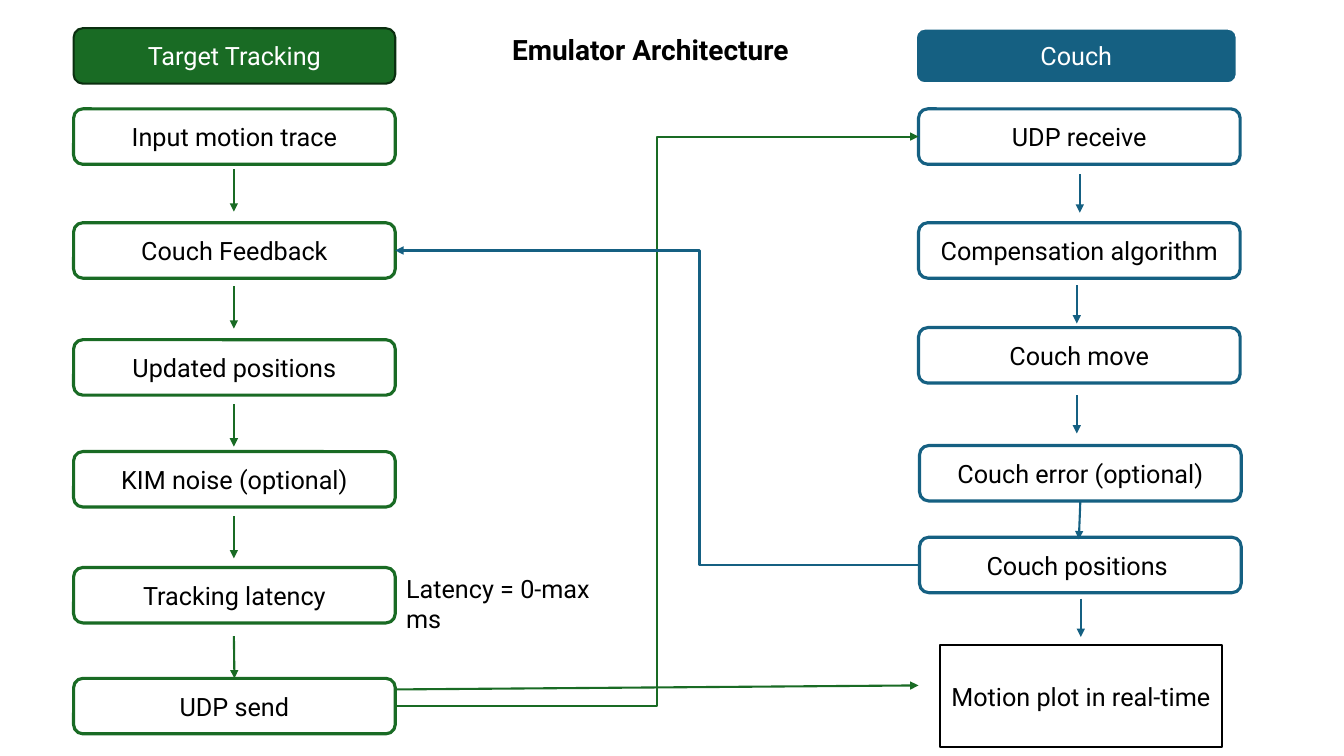
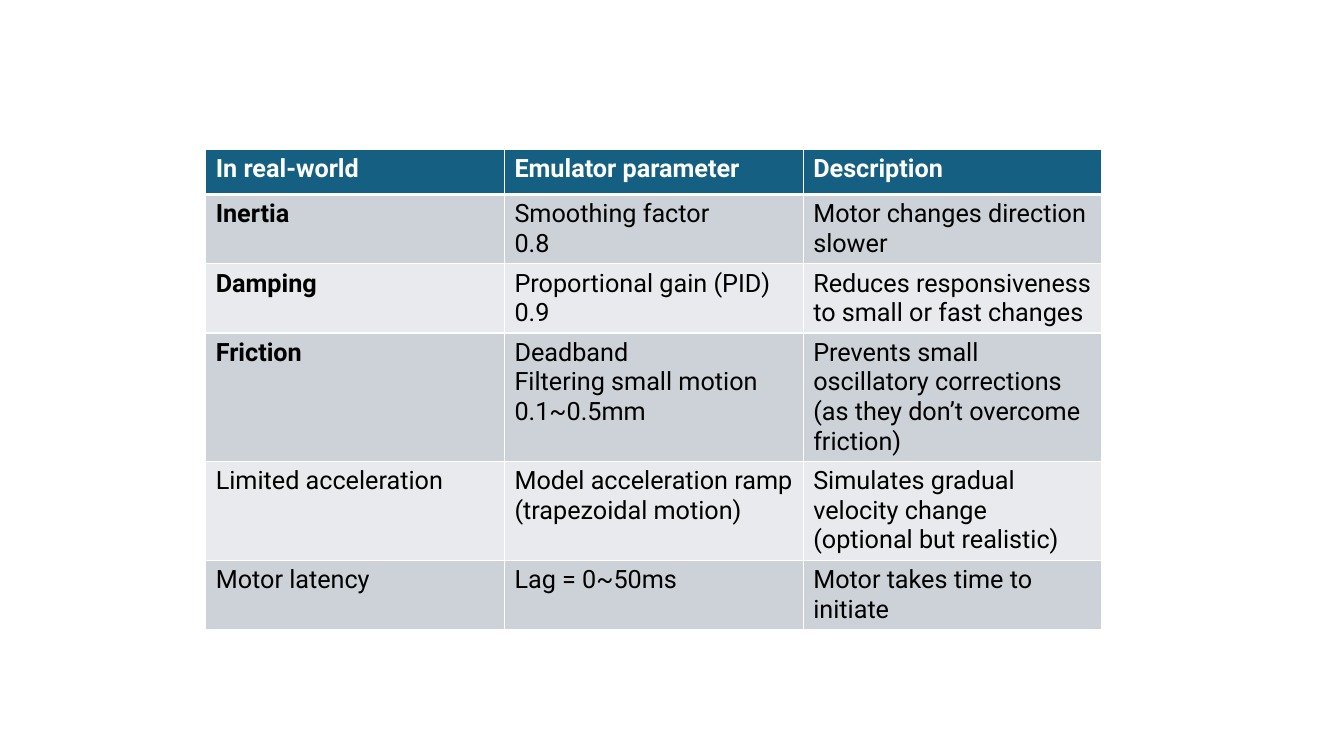
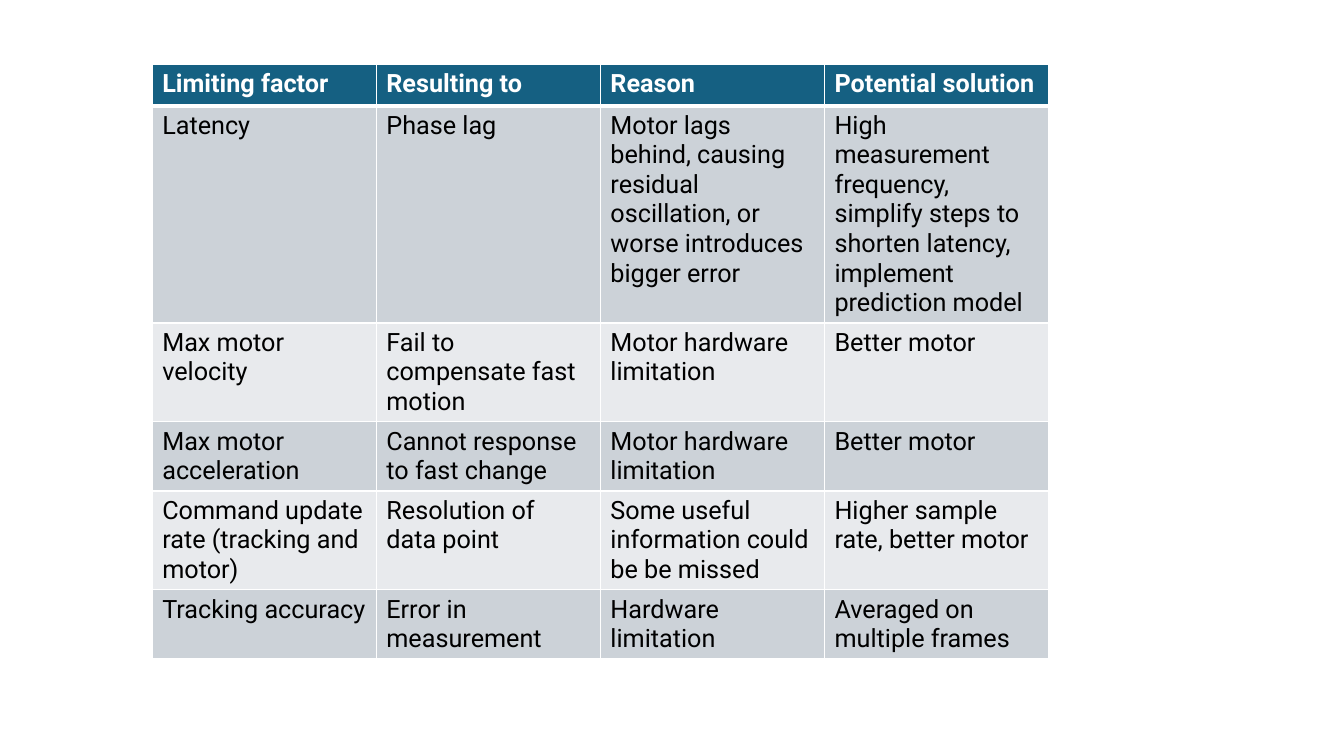
from dataclasses import dataclass
from typing import NamedTuple, Optional

from lxml.etree import SubElement
from pptx import Presentation
from pptx.dml.color import RGBColor
from pptx.enum.shapes import MSO_CONNECTOR as Connector, MSO_SHAPE as Shape
from pptx.enum.text import MSO_ANCHOR as Anchor, PP_ALIGN as Align
from pptx.oxml.ns import qn
from pptx.util import Inches, Pt


@dataclass(frozen=True)
class Theme:
    font: str = "Roboto"
    body_size: float = 18
    title_size: float = 20
    green: str = "196B24"
    dark_green: str = "0B2F10"
    blue: str = "156082"
    black: str = "000000"
    white: str = "FFFFFF"
    bands: tuple = ("CCD2D8", "E8EAED")
    step_line: float = 2.25
    arrow_line: float = 1.5


THEME = Theme()
STEP_WIDTH, STEP_HEIGHT = 3.19, 0.55
TABLE_WIDTH, ROW_HEIGHT = 8.89, 0.41
TOP, LEFT, BOTTOM, RIGHT = range(4)


class Step(NamedTuple):
    text: str
    left: float
    top: float


class Down(NamedTuple):
    """A downward arrow; begin and end are indexes of joined steps."""
    x: float
    y: float
    begin: Optional[int] = None
    end: Optional[int] = None


@dataclass(frozen=True)
class Lane:
    color: str
    arrow_length: float
    steps: tuple
    arrows: tuple


@dataclass(frozen=True)
class Grid:
    left: float
    top: float
    header_height: float
    rows: tuple
    bold_labels: tuple = ()


TRACKING = Lane(
    THEME.green, 0.42,
    tuple(Step(text, 0.73, top) for text, top in (
        ("Input motion trace", 1.08), ("Couch Feedback", 2.21),
        ("Updated positions", 3.37), ("KIM noise (optional)", 4.48),
        ("Tracking latency", 5.63), ("UDP send", 6.73))),
    tuple(Down(2.32, y) for y in (1.68, 2.84, 4.01, 5.12)) + (Down(2.32, 6.31, end=5),))

COUCH = Lane(
    THEME.blue, 0.38,
    (Step("UDP receive", 9.11, 1.08), Step("Compensation algorithm", 9.11, 2.21),
     Step("Couch move", 9.11, 3.25), Step("Couch error (optional)", 9.12, 4.42),
     Step("Couch positions ", 9.12, 5.33)),
    (Down(10.71, 1.73), Down(10.68, 2.83), Down(10.68, 3.92),
     Down(10.7, 4.97, begin=3), Down(10.72, 5.94)))

PARAMETERS = Grid(2.04, 1.48, 0.45, (
    ("In real-world", "Emulator parameter", "Description"),
    ("Inertia", "Smoothing factor\n0.8", "Motor changes direction slower"),
    ("Damping", "Proportional gain (PID)\n0.9",
     "Reduces responsiveness to small or fast changes"),
    ("Friction", "Deadband\nFiltering small motion\n0.1~0.5mm",
     "Prevents small oscillatory corrections (as they don’t overcome friction)"),
    ("Limited acceleration", "Model acceleration ramp (trapezoidal motion)",
     "Simulates gradual velocity change (optional but realistic)"),
    ("Motor latency", "Lag = 0~50ms", "Motor takes time to initiate"),
), bold_labels=("Inertia", "Damping", "Friction"))

LIMITS = Grid(1.51, 0.64, 0.41, (
    ("Limiting factor", "Resulting to", "Reason", "Potential solution"),
    ("Latency", "Phase lag",
     "Motor lags behind, causing residual oscillation, or worse introduces bigger error",
     "High measurement frequency, simplify steps to shorten latency, "
     "implement prediction model"),
    ("Max motor velocity", "Fail to compensate fast motion",
     "Motor hardware limitation", "Better motor"),
    ("Max motor acceleration", "Cannot response to fast change",
     "Motor hardware limitation", "Better motor"),
    ("Command update rate (tracking and motor)", "Resolution of data point",
     "Some useful information could be be missed", "Higher sample rate, better motor"),
    ("Tracking accuracy", "Error in measurement", "Hardware limitation",
     "Averaged on multiple frames"),
))


def rgb(color: str) -> RGBColor:
    return RGBColor.from_string(color)


def write(frame, text: str, *, color: str = THEME.black, size: float = THEME.body_size,
          bold: bool = False, align=Align.LEFT, anchor=Anchor.TOP) -> None:
    """Fill a text frame, one paragraph per line of text."""
    frame.word_wrap = True
    frame.vertical_anchor = anchor
    for index, line in enumerate(text.split("\n")):
        para = frame.add_paragraph() if index else frame.paragraphs[0]
        para.alignment = align
        span = para.add_run()
        span.text = line
        span.font.name, span.font.size, span.font.bold = THEME.font, Pt(size), bold
        span.font.color.rgb = rgb(color)


def add_box(page, text: str, left: float, top: float, *, width: float = STEP_WIDTH,
            height: float = STEP_HEIGHT, kind=Shape.ROUNDED_RECTANGLE,
            fill: str = THEME.white, line: str = THEME.black,
            line_width: float = THEME.step_line, color: str = THEME.black):
    box = page.shapes.add_shape(kind, Inches(left), Inches(top),
                                Inches(width), Inches(height))
    box.shadow.inherit = False
    box.fill.solid()
    box.fill.fore_color.rgb = rgb(fill)
    box.line.color.rgb = rgb(line)
    box.line.width = Pt(line_width)
    write(box.text_frame, text, color=color, align=Align.CENTER, anchor=Anchor.MIDDLE)
    return box


def add_label(page, text: str, left: float, top: float, width: float, height: float,
              **text_format) -> None:
    box = page.shapes.add_textbox(Inches(left), Inches(top), Inches(width), Inches(height))
    write(box.text_frame, text, **text_format)


def add_arrow(page, start: tuple, end: tuple, color: str, *, kind=Connector.STRAIGHT,
              width: float = THEME.arrow_line, bend: Optional[float] = None,
              begin_at: Optional[tuple] = None, end_at: Optional[tuple] = None) -> None:
    """Draw an arrow; begin_at and end_at are (box, side) pairs to join."""
    arrow = page.shapes.add_connector(kind, *(Inches(value) for value in start + end))
    if begin_at:
        arrow.begin_connect(*begin_at)
    if end_at:
        arrow.end_connect(*end_at)
    arrow.line.color.rgb = rgb(color)
    arrow.line.width = Pt(width)
    properties = arrow._element.spPr
    SubElement(properties.find(qn("a:ln")), qn("a:tailEnd"), type="triangle")
    SubElement(properties, qn("a:effectLst"))
    if bend is not None:
        guides = properties.find(qn("a:prstGeom")).get_or_add_avLst()
        SubElement(guides, qn("a:gd"), name="adj1", fmla=f"val {round(bend * 100000)}")


def add_lane(page, lane: Lane) -> list:
    """Draw a column of steps with its arrows and return the step boxes."""
    boxes = [add_box(page, *step, line=lane.color) for step in lane.steps]
    for arrow in lane.arrows:
        add_arrow(page, (arrow.x, arrow.y), (arrow.x, arrow.y + lane.arrow_length),
                  lane.color,
                  begin_at=None if arrow.begin is None else (boxes[arrow.begin], BOTTOM),
                  end_at=None if arrow.end is None else (boxes[arrow.end], TOP))
    return boxes


def set_borders(cell, top: float, bottom: float) -> None:
    properties = cell._tc.get_or_add_tcPr()
    for side, width in (("L", 1), ("R", 1), ("T", top), ("B", bottom)):
        edge = SubElement(properties, qn(f"a:ln{side}"), w=str(Pt(width)))
        SubElement(SubElement(edge, qn("a:solidFill")), qn("a:srgbClr"), val=THEME.white)


def add_grid(page, grid: Grid) -> None:
    row_count, column_count = len(grid.rows), len(grid.rows[0])
    height = grid.header_height + ROW_HEIGHT * (row_count - 1)
    table = page.shapes.add_table(row_count, column_count, Inches(grid.left),
                                  Inches(grid.top), Inches(TABLE_WIDTH),
                                  Inches(height)).table
    table.horz_banding = False
    for column in table.columns:
        column.width = Inches(TABLE_WIDTH / column_count)
    for index, texts in enumerate(grid.rows):
        header = index == 0
        table.rows[index].height = Inches(grid.header_height if header else ROW_HEIGHT)
        for cell, text in zip(table.rows[index].cells, texts):
            set_borders(cell, top=3 if index == 1 else 1, bottom=3 if header else 1)
            cell.fill.solid()
            cell.fill.fore_color.rgb = rgb(
                THEME.blue if header else THEME.bands[(index - 1) % 2])
            write(cell.text_frame, text, bold=header or text in grid.bold_labels,
                  color=THEME.white if header else THEME.black)


def build_architecture(page) -> None:
    # Lane headers and title
    add_box(page, "Target Tracking", 0.73, 0.28, fill=THEME.green,
            line=THEME.dark_green, line_width=1.5, color=THEME.white)
    add_box(page, "Couch", 9.08, 0.28, fill=THEME.blue,
            line=THEME.white, line_width=2, color=THEME.white)
    add_label(page, "Emulator Architecture", 4.98, 0.27, 3.08, 0.44,
              size=THEME.title_size, bold=True)

    # Lanes
    tracking = add_lane(page, TRACKING)
    couch = add_lane(page, COUCH)
    add_box(page, "Motion plot in real-time", 9.32, 6.4, width=2.8, height=1.01,
            kind=Shape.RECTANGLE, line_width=1.5)
    add_label(page, "Latency = 0-max ms", 3.93, 5.64, 2.37, 0.4)

    # Links between the lanes
    add_arrow(page, (3.92, 7.01), (9.11, 1.36), THEME.green, kind=Connector.ELBOW,
              begin_at=(tracking[-1], RIGHT), end_at=(couch[0], LEFT))
    add_arrow(page, (9.12, 5.6), (3.92, 2.48), THEME.blue, kind=Connector.ELBOW,
              width=2, bend=0.42, begin_at=(couch[-1], LEFT), end_at=(tracking[1], RIGHT))
    add_arrow(page, (3.91, 6.84), (9.11, 6.8), THEME.green)


def main() -> None:
    deck = Presentation()
    deck.slide_width, deck.slide_height = Inches(13.33), Inches(7.5)
    blank = deck.slide_layouts[6]
    build_architecture(deck.slides.add_slide(blank))
    for grid in (PARAMETERS, LIMITS):
        add_grid(deck.slides.add_slide(blank), grid)
    deck.save("out.pptx")


if __name__ == "__main__":
    main()
